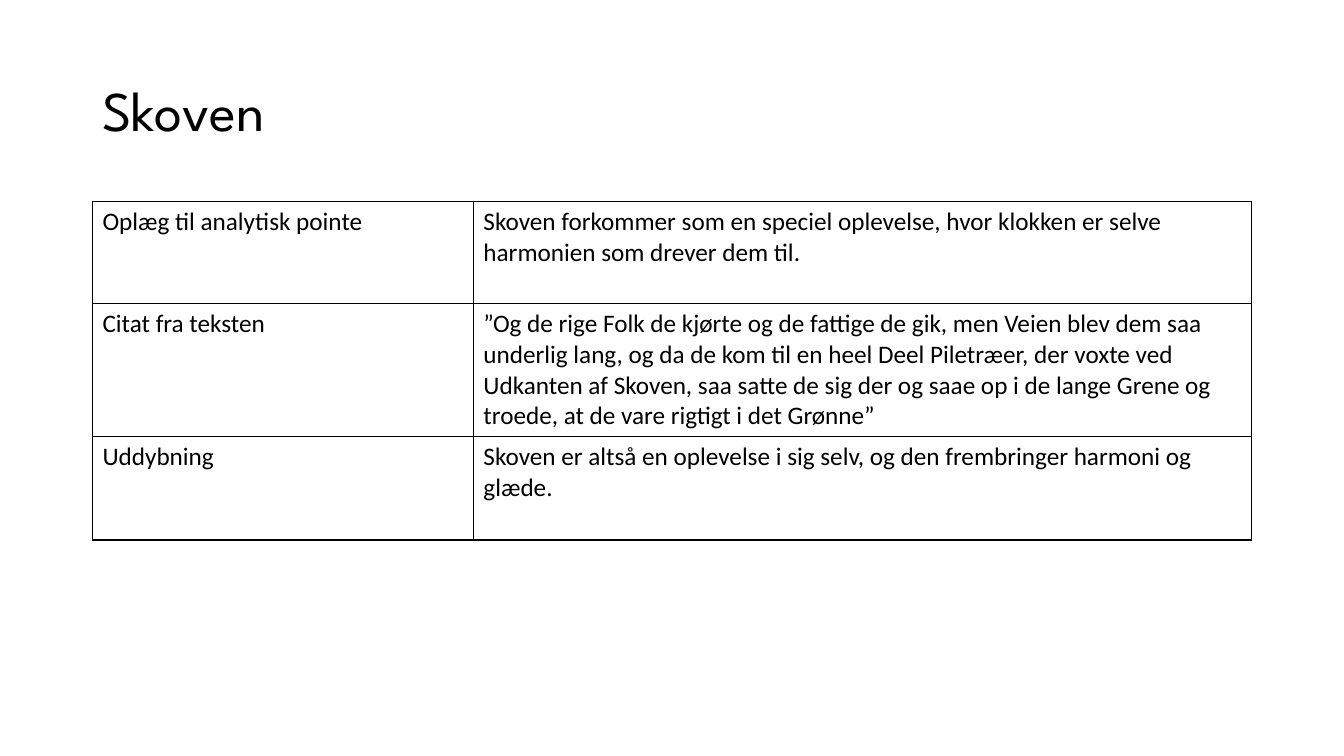
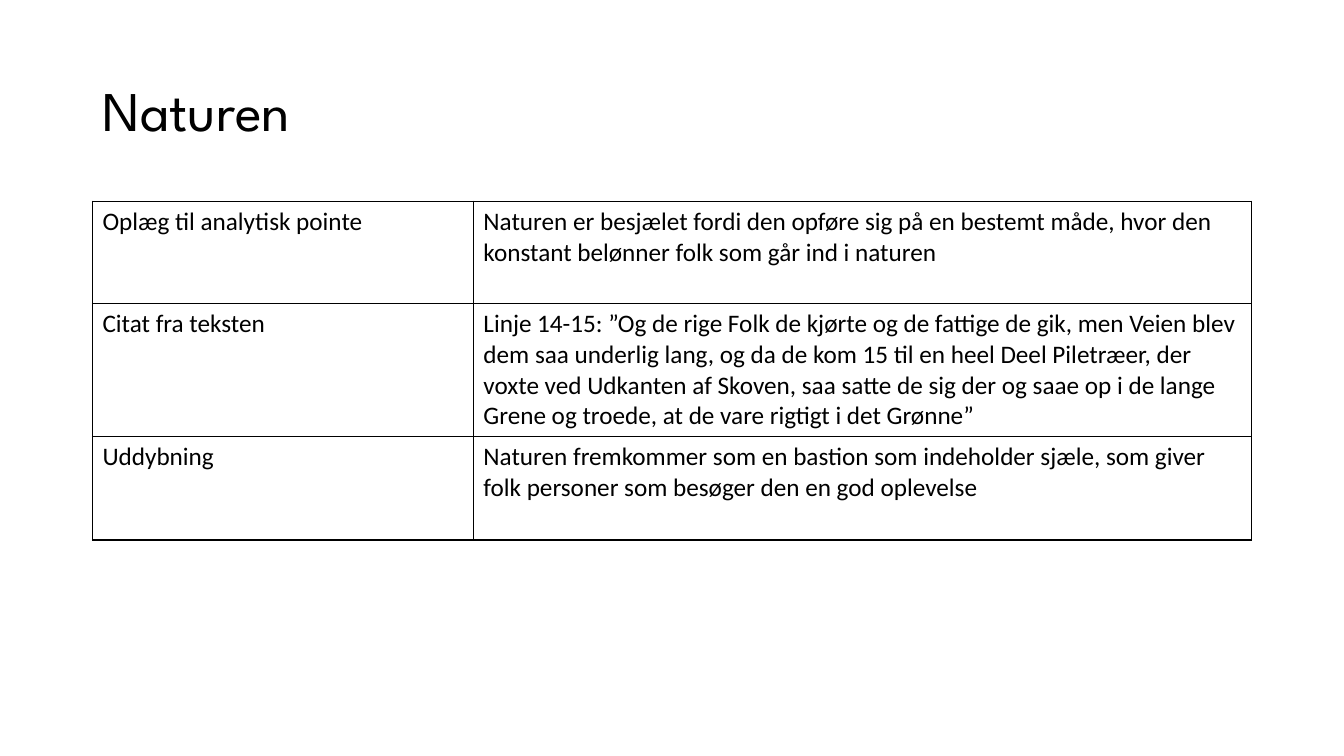
from dataclasses import dataclass

from lxml import etree
from pptx import Presentation
from pptx.dml.color import RGBColor
from pptx.enum.text import MSO_ANCHOR, MSO_AUTO_SIZE, PP_ALIGN
from pptx.oxml.ns import qn
from pptx.util import Cm, Pt

MIDDLE = MSO_ANCHOR.MIDDLE
TOP = MSO_ANCHOR.TOP
NO_FIT = MSO_AUTO_SIZE.NONE
LEFT = PP_ALIGN.LEFT
TITLE_ONLY = 5


@dataclass(frozen=True)
class Theme:
    ink: str = "000000"
    title_font: str = "League Spartan"
    body_font: str = "Calibri"
    title_size: int = 40
    body_size: int = 18
    border_width: int = 1


THEME = Theme()
MARGIN = Cm(2.33)
CONTENT_WIDTH = Cm(29.21)
TITLE_PLACE = {"left": MARGIN, "top": Cm(1.01), "width": CONTENT_WIDTH, "height": Cm(3.68)}
TITLE_FRAME = {"vertical_anchor": MIDDLE, "word_wrap": True, "auto_size": NO_FIT}
TITLE_FORMAT = {"name": THEME.title_font, "size": Pt(THEME.title_size), "bold": False}
BODY_FORMAT = {"name": THEME.body_font, "size": Pt(THEME.body_size), "bold": False}
TABLE_TOP = Cm(5.07)
COLUMN_WIDTHS = [Cm(9.6), Cm(19.61)]
ROW_HEIGHTS = [Cm(2.58), Cm(3.35), Cm(2.6)]

ROW_LABELS = ["Oplæg til analytisk pointe", "Citat fra teksten", "Uddybning"]
PAGES = {
    "Skoven": [
        "Skoven forkommer som en speciel oplevelse, hvor klokken er selve "
        "harmonien som drever dem til.",
        "”Og de rige Folk de kjørte og de fattige de gik, men Veien blev dem saa "
        "underlig lang, og da de kom til en heel Deel Piletræer, der voxte ved "
        "Udkanten af Skoven, saa satte de sig der og saae op i de lange Grene og "
        "troede, at de vare rigtigt i det Grønne”",
        "Skoven er altså en oplevelse i sig selv, og den frembringer harmoni og glæde.",
    ],
    "Naturen": [
        "Naturen er besjælet fordi den opføre sig på en bestemt måde, hvor den "
        "konstant belønner folk som går ind i naturen",
        "Linje 14-15: ”Og de rige Folk de kjørte og de fattige de gik, men Veien blev "
        "dem saa underlig lang, og da de kom 15 til en heel Deel Piletræer, der "
        "voxte ved Udkanten af Skoven, saa satte de sig der og saae op i de lange "
        "Grene og troede, at de vare rigtigt i det Grønne”",
        "Naturen fremkommer som en bastion som indeholder sjæle, som giver "
        "folk personer som besøger den en god oplevelse",
    ],
}


def write_text(frame, text, text_format):
    para = frame.paragraphs[0]
    para.alignment = LEFT
    span = para.add_run()
    span.text = text
    for name, value in text_format.items():
        setattr(span.font, name, value)
    span.font.color.rgb = RGBColor.from_string(THEME.ink)
    return para


def add_borders(cell):
    properties = cell._tc.get_or_add_tcPr()
    for position, side in enumerate(["lnL", "lnR", "lnT", "lnB"]):
        line = etree.Element(qn(f"a:{side}"), w=str(Pt(THEME.border_width)))
        fill = etree.SubElement(line, qn("a:solidFill"))
        etree.SubElement(fill, qn("a:srgbClr"), val=THEME.ink)
        properties.insert(position, line)


deck = Presentation()
deck.slide_width = Cm(33.87)
deck.slide_height = Cm(19.05)

for heading, answers in PAGES.items():
    page = deck.slides.add_slide(deck.slide_layouts[TITLE_ONLY])
    title = page.shapes.title
    for target, values in [(title, TITLE_PLACE), (title.text_frame, TITLE_FRAME)]:
        for name, value in values.items():
            setattr(target, name, value)
    para = write_text(title.text_frame, heading, TITLE_FORMAT)
    para.line_spacing = 0.9

    table = page.shapes.add_table(
        len(ROW_LABELS), len(COLUMN_WIDTHS), MARGIN, TABLE_TOP, CONTENT_WIDTH, sum(ROW_HEIGHTS)
    ).table
    table.first_row = False
    table.horz_banding = False
    for column, width in zip(table.columns, COLUMN_WIDTHS):
        column.width = width
    for row, height, texts in zip(table.rows, ROW_HEIGHTS, zip(ROW_LABELS, answers)):
        row.height = height
        for cell, text in zip(row.cells, texts):
            cell.fill.background()
            cell.vertical_anchor = TOP
            add_borders(cell)
            write_text(cell.text_frame, text, BODY_FORMAT)

deck.save("out.pptx")
